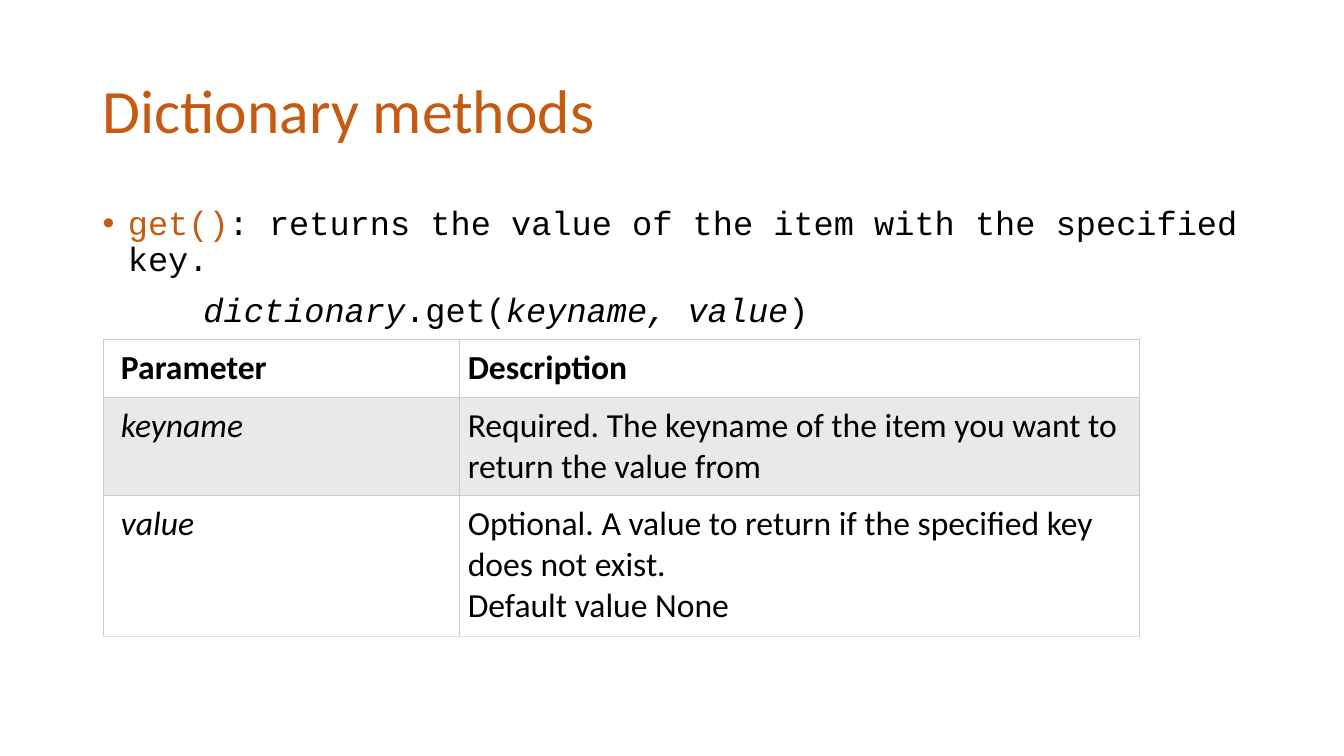
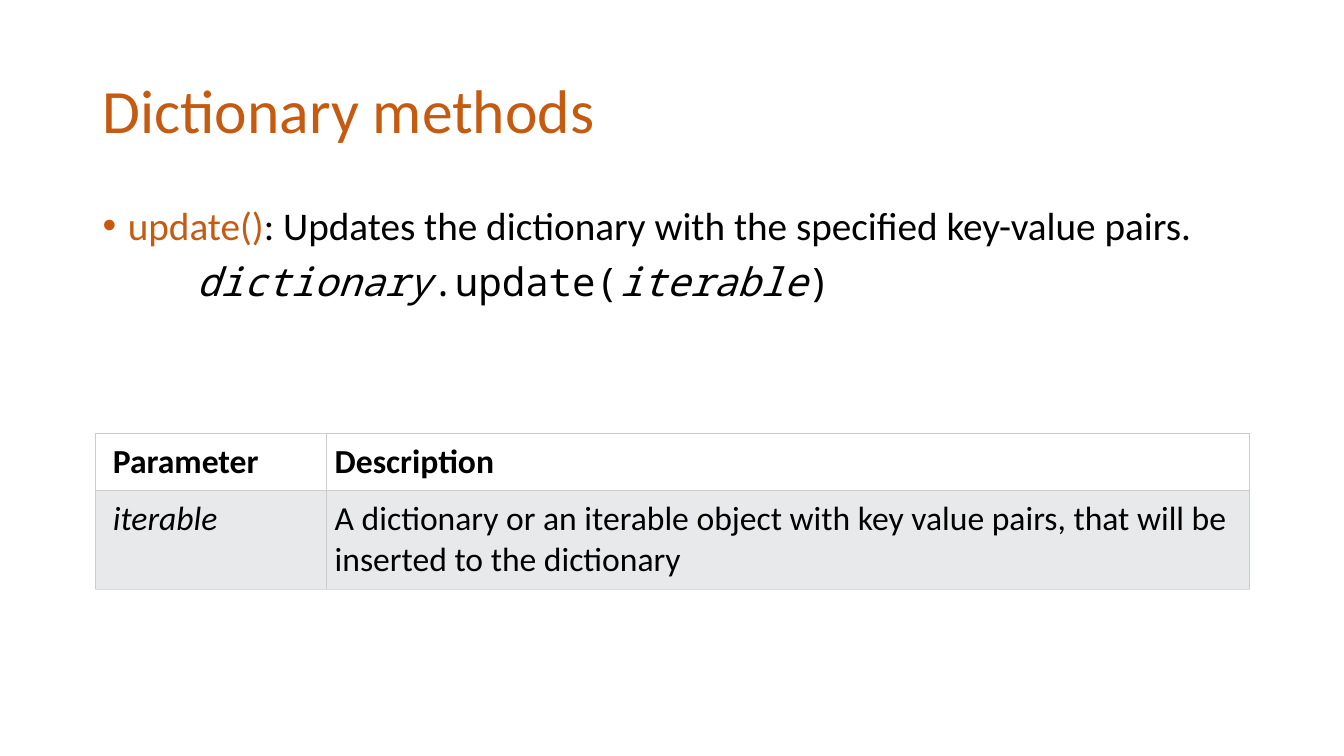
import dataclasses
import lxml.etree
import pptx
import pptx.dml.color
import pptx.enum.text
import pptx.oxml
import pptx.oxml.ns
import pptx.util

Inches = pptx.util.Inches
Pt = pptx.util.Pt
RGB = pptx.dml.color.RGBColor.from_string


# Colours, fonts and type sizes
@dataclasses.dataclass(frozen=True)
class Theme:
    accent: str = "C55A11"
    ink: str = "000000"
    paper: str = "FFFFFF"
    band: str = "E7E9EB"
    rule: str = "CCCCCC"
    base: str = "DDDDDD"
    sans: str = "Calibri"
    title: int = 44
    cell: int = 24
    line: float = 0.75


THEME = Theme()


def add_node(parent, tag, **attrs):
    node = lxml.etree.SubElement(parent, pptx.oxml.ns.qn(tag))
    for key, value in attrs.items():
        node.set(key, str(value))
    return node


def add_run(para, text, size, font=THEME.sans, color=THEME.ink,
            bold=False, slant=False):
    run = para.add_run()
    run.text = text
    run.font.size = Pt(size)
    run.font.name = font
    run.font.color.rgb = RGB(color)
    run.font.bold = bold
    run.font.italic = slant


def add_box(slide, left, top, width, height):
    frame = slide.shapes.add_textbox(
        Inches(left), Inches(top), Inches(width), Inches(height)).text_frame
    frame.word_wrap = True
    frame.paragraphs[0].line_spacing = 0.9
    return frame


# Title shared by all slides
def add_title(slide, text):
    frame = add_box(slide, 0.92, 0.4, 11.5, 1.45)
    frame.vertical_anchor = pptx.enum.text.MSO_ANCHOR.MIDDLE
    add_run(frame.paragraphs[0], text, THEME.title, color=THEME.accent)


def set_indent(para, left, hang=0):
    props = para._p.get_or_add_pPr()
    props.set("marL", str(Inches(left)))
    props.set("indent", str(-Inches(hang)))
    return props


# Bullet with the method name, then its usage line
def add_method(slide, width, size, name, text, font, usage, code, indent):
    frame = add_box(slide, 0.92, 2, width, 4.76)
    lead = frame.paragraphs[0]
    props = set_indent(lead, 0.25, 0.25)
    add_node(props, "a:buFont", typeface="Arial")
    add_node(props, "a:buChar", char="•")
    add_run(lead, name, size, font, THEME.accent)
    add_run(lead, text, size, font)

    call = frame.add_paragraph()
    call.line_spacing = 0.9
    call.space_before = Pt(10)
    set_indent(call, indent)
    for part, slant in usage:
        add_run(call, part, size, code, slant=slant)


def set_edges(cell, base):
    props = cell._tc.get_or_add_tcPr()
    for spot, side in enumerate("LRTB"):
        edge = pptx.oxml.parse_xml(
            f'<a:ln{side} {pptx.oxml.ns.nsdecls("a")} w="{Pt(THEME.line)}"/>')
        fill = add_node(edge, "a:solidFill")
        add_node(fill, "a:srgbClr", val=base if side == "B" else THEME.rule)
        props.insert(spot, edge)


def fill_cell(cell, text, first, head, shade, base):
    cell.fill.solid()
    cell.fill.fore_color.rgb = RGB(shade)
    cell.margin_left = Inches(0.17 if first else 0.08)
    cell.margin_right = cell.margin_top = cell.margin_bottom = Inches(0.08)
    para = cell.text_frame.paragraphs[0]
    for num, line in enumerate(text.split("\n")):
        if num:
            para.add_line_break()
        add_run(para, line, THEME.cell, bold=head, slant=first and not head)
    set_edges(cell, base)


# Parameter table with a shaded band on every second row
def add_grid(slide, left, top, widths, rows):
    rows = [("Parameter", "Description"), *rows]
    # One line of text takes 0.57, each further line 0.41
    heights = (0.57, 0.98, 1.39)[:len(rows)]
    grid = slide.shapes.add_table(
        len(rows), len(widths), Inches(left), Inches(top),
        Inches(sum(widths)), Inches(sum(heights))).table
    grid.first_row = grid.horz_banding = False
    for col, width in zip(grid.columns, widths):
        col.width = Inches(width)
    for r, (row, height) in enumerate(zip(rows, heights)):
        grid.rows[r].height = Inches(height)
        shade = THEME.band if r % 2 else THEME.paper
        base = THEME.base if r == len(rows) - 1 else THEME.rule
        for c, text in enumerate(row):
            fill_cell(grid.cell(r, c), text, c == 0, r == 0, shade, base)


def add_slide(deck):
    slide = deck.slides.add_slide(deck.slide_layouts[6])
    add_title(slide, "Dictionary methods")
    return slide


def main():
    deck = pptx.Presentation()
    deck.slide_width, deck.slide_height = Inches(13.33), Inches(7.5)

    # The get method
    slide = add_slide(deck)
    add_method(
        slide, 11.66, 24, "get()",
        ": returns the value of the item with the specified key.",
        "Courier New",
        [("dictionary", True), (".get(", False),
         ("keyname, value", True), (")", False)],
        "Courier New", 1)
    add_grid(slide, 1.03, 3.37, (3.53, 6.74), [
        ("keyname",
         "Required. The keyname of the item you want to return the value from"),
        ("value",
         "Optional. A value to return if the specified key does not exist.\n"
         "Default value None")])

    # The update method
    slide = add_slide(deck)
    add_method(
        slide, 11.5, 28, "update()",
        ": Updates the dictionary with the specified key-value pairs.",
        THEME.sans,
        [("dictionary", True), (".update(", False),
         ("iterable", True), (")", False)],
        "Noto Sans Mono", 0.93)
    add_grid(slide, 0.95, 4.3, (2.29, 9.15), [
        ("iterable",
         "A dictionary or an iterable object with key value pairs, "
         "that will be inserted to the dictionary")])

    deck.save("out.pptx")


if __name__ == "__main__":
    main()
